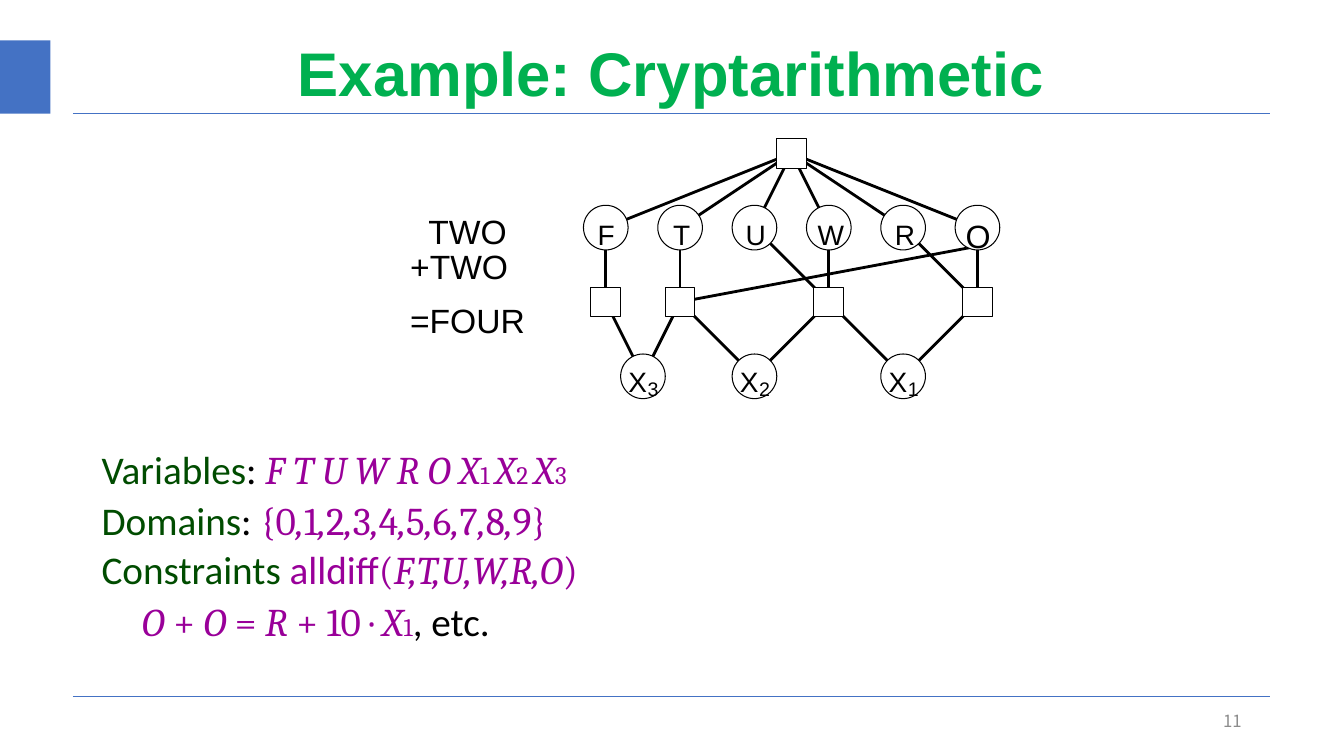
from lxml import etree
from pptx import Presentation
from pptx import util as u
from pptx.dml.color import RGBColor
from pptx.enum import shapes, text
from pptx.oxml import ns

Pt = u.Pt
COLORS = {"blue": "4472C4", "title": "00B050", "black": "000000", "white": "FFFFFF",
          "gray": "8C8C8C", "green": "004C00", "purple": "990099"}


def add_run(p, content, font="Arial", size=28, color="black", bold=False, italic=False):
    r = p.add_run()
    r.text = content
    r.font.name = font
    r.font.size = Pt(size)
    r.font.bold = bold
    r.font.italic = italic
    r.font.color.rgb = RGBColor.from_string(COLORS[color])


class Slide:
    LABEL = dict(inset=0, spacing=1.07, after=8)

    def __init__(self, prs):
        self.s = prs.slides.add_slide(prs.slide_layouts[6])

    def line(self, start, end, color="black", width=0):
        c = self.s.shapes.add_connector(shapes.MSO_CONNECTOR.STRAIGHT,
                                        *(Pt(v) for v in (*start, *end)))
        c.line.color.rgb = RGBColor.from_string(COLORS[color])
        c.line.width = Pt(width)
        etree.SubElement(c._element.spPr, ns.qn("a:effectLst"))

    def shape(self, kind, x, y, w, h, fill="white", outline="black"):
        sp = self.s.shapes.add_shape(kind, Pt(x), Pt(y), Pt(w), Pt(h))
        sp.shadow.inherit = False
        sp.fill.solid()
        sp.fill.fore_color.rgb = RGBColor.from_string(COLORS[fill])
        if outline:
            sp.line.color.rgb = RGBColor.from_string(COLORS[outline])
            sp.line.width = Pt(0)
        else:
            sp.line.fill.background()

    def node(self, kind, center, size):
        x, y = center
        self.shape(kind, x - size / 2, y - size / 2, size, size)

    def frame(self, x, y, w, h, inset=None, anchor=text.MSO_ANCHOR.TOP):
        tf = self.s.shapes.add_textbox(Pt(x), Pt(y), Pt(w), Pt(h)).text_frame
        tf.word_wrap = True
        tf.vertical_anchor = anchor
        if inset is not None:
            tf.margin_left = tf.margin_right = Pt(inset)
            tf.margin_top = tf.margin_bottom = Pt(inset)
        return tf

    def text(self, x, y, w, h, content, inset=None, anchor=text.MSO_ANCHOR.TOP,
             align=text.PP_ALIGN.LEFT, spacing=1.0, after=0, **fmt):
        p = self.frame(x, y, w, h, inset, anchor).paragraphs[0]
        p.alignment = align
        p.line_spacing = spacing
        p.space_after = Pt(after)
        add_run(p, content, **fmt)

    def label(self, x, y, w, h, content, size):
        self.text(x, y, w, h, content, size=size, **self.LABEL)

    def body(self, x, y, w, h, paragraphs):
        tf = self.frame(x, y, w, h)
        tf.auto_size = text.MSO_AUTO_SIZE.SHAPE_TO_FIT_TEXT
        for i, (margin, indent, spacing, after, runs) in enumerate(paragraphs):
            p = tf.add_paragraph() if i else tf.paragraphs[0]
            p.line_spacing = spacing
            p.space_after = Pt(after)
            pPr = p._p.get_or_add_pPr()
            pPr.set("marL", str(Pt(margin)))
            pPr.set("indent", str(Pt(indent)))
            for content, fmt in runs:
                add_run(p, content, **fmt)


STEP = 53.1
CIRCLE, BOX = 31.9, 21.2


def at(col, row):
    return 432.7 + STEP * col, 109.5 + STEP * row


def draw_graph(s):
    alldiff = at(2.5, 0)
    letters = [("F", -5.8, 16), ("T", -5, 16), ("U", -6.2, 20),
               ("W", -8, 25), ("R", -5.8, 20), ("O", -8.4, 24)]
    carries = {0.5: "3", 2: "2", 4: "1"}
    sums = (0, 1, 3, 5)

    for col in range(len(letters)):
        s.line(alldiff, at(col, 1))
    for col, box in ((0, 0), (1, 1), (2, 3), (3, 3), (4, 5), (5, 5)):
        s.line(at(col, 1), at(box, 2))
    s.line(at(1, 2), at(5, 1.25))
    for box, carry in ((0, 0.5), (1, 0.5), (1, 2), (3, 2), (3, 4), (5, 4)):
        s.line(at(box, 2), at(carry, 3))

    oval, rect = shapes.MSO_SHAPE.OVAL, shapes.MSO_SHAPE.RECTANGLE
    s.node(rect, alldiff, BOX)
    for col in sums:
        s.node(rect, at(col, 2), BOX)
    for col, (letter, dx, w) in enumerate(letters):
        x, y = at(col, 1)
        s.node(oval, (x, y), CIRCLE)
        size, dy = (23, -10) if letter == "O" else (20, -8.6)
        s.label(x + dx, y + dy, w, 24.5, letter, size)
    for col, digit in carries.items():
        x, y = at(col, 3)
        s.node(oval, (x, y), CIRCLE)
        s.label(x - 10.4, y - 10.2, 18, 24.5, "X", 20)
        s.label(x + 3.4, y - 1, 10, 17.3, digit, 14)


def body_paragraphs():
    head = dict(font="Calibri", color="green")
    plain = dict(font="Calibri")
    name = dict(font="Calibri", color="purple")
    math = dict(font="Cambria", color="purple")
    var = dict(math, italic=True)
    sub = dict(math, size=18)

    domain = [("{0", math)]
    for digit in range(1, 10):
        domain += [(",", var), (f"{digit}" + ("}" if digit == 9 else ""), math)]
    return [
        (0.7, -0.7, 1.04, 0.8, [("Variables", head), (": ", plain),
                                ("F T U W R O X", var), ("1 ", sub), ("X", var),
                                ("2 ", sub), ("X", var), ("3", sub)]),
        (0.7, -0.7, 1.07, 0, [("Domains", head), (": ", plain), *domain]),
        (28.8, -29.5, 1.04, 0.8, [("Constraints ", head), ("alldiff", name), ("(", math),
                                  ("F,T,U,W,R,O", var), (")", math)]),
        (29.5, -0.7, 1.08, 0.2, [("O ", var), ("+ ", math), ("O ", var), ("= ", math),
                                 ("R ", var), ("+ 10 · ", math), ("X", var), ("1", sub),
                                 (", etc.", plain)]),
    ]


def main():
    prs = Presentation()
    prs.slide_width, prs.slide_height = Pt(960), Pt(540)
    s = Slide(prs)
    for y in (497.3, 80.9):
        s.line((52, y), (907, y), "blue", 0.5)
    s.shape(shapes.MSO_SHAPE.RECTANGLE, 0, 28.8, 36, 52.5, "blue", None)
    middle = text.MSO_ANCHOR.MIDDLE
    s.text(65.5, 23.8, 828, 61.2, "Example: Cryptarithmetic", anchor=middle,
           align=text.PP_ALIGN.CENTER, spacing=0.9, size=44, color="title", bold=True)
    s.text(678, 500.5, 216, 28.8, "11", anchor=middle, align=text.PP_ALIGN.RIGHT,
           font="Noto Sans CJK SC", size=12, color="gray")
    draw_graph(s)
    s.label(306, 149, 70, 26.6, "TWO", 24)
    s.label(293, 173.5, 96, 31.7, "+TWO", 24)
    s.label(293, 212.4, 102, 21, "=FOUR", 24)
    s.body(65.5, 313.2, 819.4, 151.2, body_paragraphs())
    prs.save("out.pptx")


if __name__ == "__main__":
    main()
